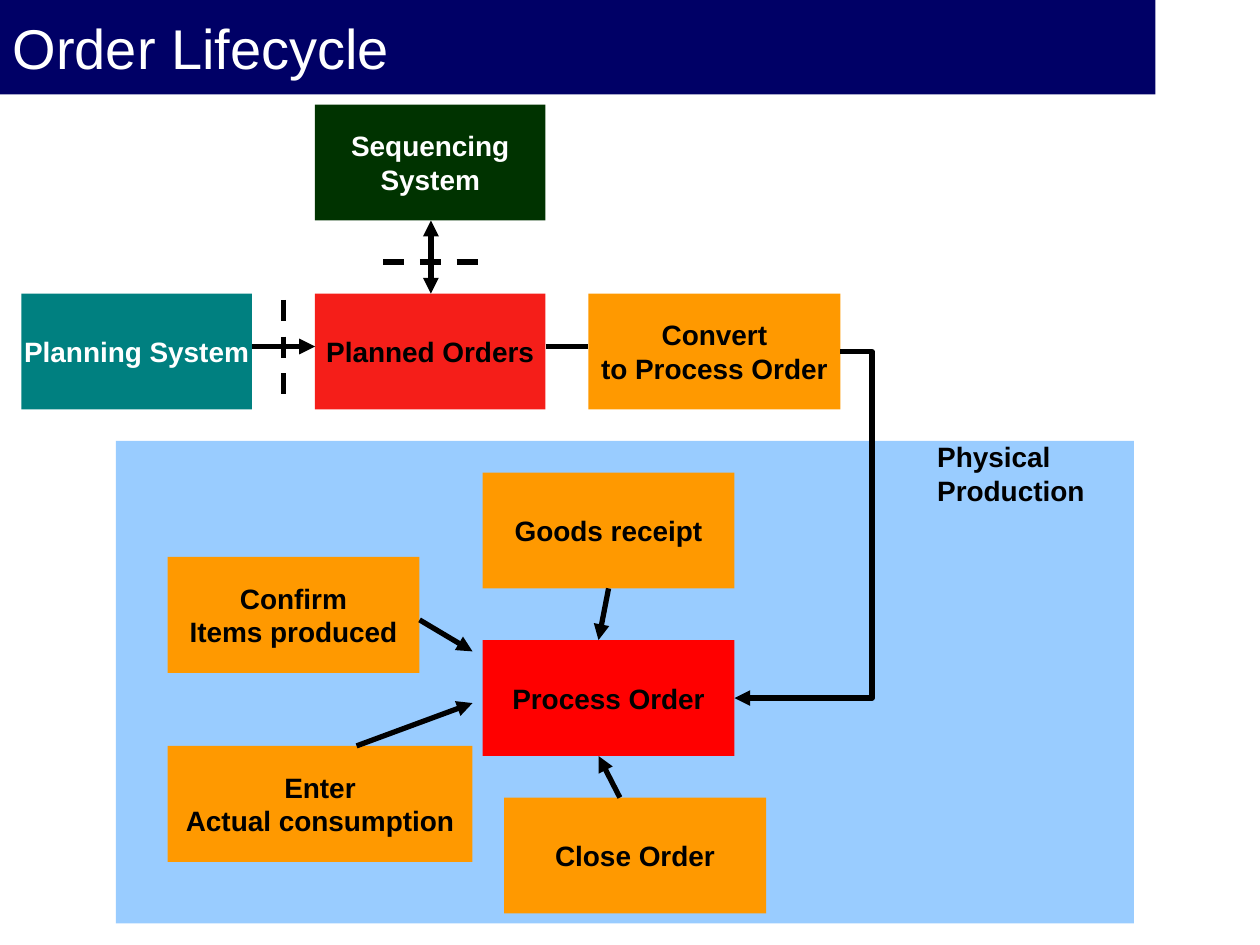
import pptx
import pptx.util
import pptx.dml.color
import pptx.enum.dml
import pptx.enum.shapes
import pptx.enum.text
import pptx.oxml.ns
from lxml import etree

Inches = pptx.util.Inches
RGBColor = pptx.dml.color.RGBColor
Connector = pptx.enum.shapes.MSO_CONNECTOR
Align = pptx.enum.text.PP_ALIGN
Anchor = pptx.enum.text.MSO_ANCHOR
qn = pptx.oxml.ns.qn

NAVY = RGBColor(0x00, 0x00, 0x66)
SKY = RGBColor(0x99, 0xCC, 0xFF)
TEAL = RGBColor(0x00, 0x80, 0x80)
FOREST = RGBColor(0x00, 0x33, 0x00)
SCARLET = RGBColor(0xF5, 0x1E, 0x19)
RED = RGBColor(0xFF, 0x00, 0x00)
ORANGE = RGBColor(0xFF, 0x99, 0x00)
BLACK = RGBColor(0x00, 0x00, 0x00)
WHITE = RGBColor(0xFF, 0xFF, 0xFF)

STEP_HEIGHT = 0.92


def format_text(frame, size, color, bold, align):
    """Give every paragraph in the frame the same look."""
    for paragraph in frame.paragraphs:
        paragraph.alignment = align
        for run in paragraph.runs:
            run.font.name = "Arial"
            run.font.size = pptx.util.Pt(size)
            run.font.bold = bold
            run.font.color.rgb = color


def add_block(slide, left, top, width, height, fill):
    """Add a plain filled rectangle."""
    block = slide.shapes.add_shape(
        pptx.enum.shapes.MSO_SHAPE.RECTANGLE,
        Inches(left), Inches(top), Inches(width), Inches(height))
    block.shadow.inherit = False
    block.fill.solid()
    block.fill.fore_color.rgb = fill
    block.line.fill.background()
    return block


def add_step(slide, left, top, width, label, fill, color=BLACK):
    """Add a labelled box of the order flow."""
    frame = add_block(slide, left, top, width, STEP_HEIGHT, fill).text_frame
    frame.word_wrap = False
    frame.vertical_anchor = Anchor.MIDDLE
    frame.text = label
    format_text(frame, 16, color, True, Align.CENTER)


def add_link(slide, start, end, ends=("tailEnd",), dashed=False, bend=None):
    """Add a line with optional arrowheads; bend is the elbow's position."""
    kind = Connector.STRAIGHT if bend is None else Connector.ELBOW
    link = slide.shapes.add_connector(
        kind, *(Inches(value) for value in (*start, *end)))
    link.line.width = pptx.util.Pt(3)
    link.line.color.rgb = BLACK
    if dashed:
        link.line.dash_style = pptx.enum.dml.MSO_LINE.DASH
    properties = link._element.spPr
    outline = properties.find(qn("a:ln"))
    for name in ends:
        etree.SubElement(outline, qn(f"a:{name}"), type="triangle")
    etree.SubElement(properties, qn("a:effectLst"))
    if bend is not None:
        guides = properties.find(qn("a:prstGeom")).get_or_add_avLst()
        etree.SubElement(guides, qn("a:gd"), name="adj1",
                         fmla=f"val {round(bend * 100000)}")


def add_title(slide, left, top, width, height):
    """Turn the title placeholder into the heading band."""
    title = slide.shapes.title
    title.left, title.top = Inches(left), Inches(top)
    title.width, title.height = Inches(width), Inches(height)
    title.fill.solid()
    title.fill.fore_color.rgb = NAVY
    frame = title.text_frame
    frame.text = "Order Lifecycle"
    frame.auto_size = pptx.enum.text.MSO_AUTO_SIZE.NONE
    frame.vertical_anchor = Anchor.MIDDLE
    format_text(frame, 32, WHITE, False, Align.LEFT)


def add_planning(slide, left, top):
    """Draw the planning systems and the row of planned orders."""
    row = top + 1.5
    orders = left + 2.33
    for x, y, width, label, fill, color in (
            (orders, row, 1.83, "Planned Orders", SCARLET, BLACK),
            (left, row, 1.83, "Planning System", TEAL, WHITE),
            (orders, top, 1.83, "Sequencing\nSystem", FOREST, WHITE),
            (left + 4.5, row, 2, "Convert\nto Process Order", ORANGE, BLACK)):
        add_step(slide, x, y, width, label, fill, color)

    center, flow = left + 3.25, row + 0.42
    add_link(slide, (center, row), (center, top + STEP_HEIGHT),
             ends=("headEnd", "tailEnd"))
    add_link(slide, (left + 1.83, flow), (orders, flow))
    add_link(slide, (left + 4.16, flow), (left + 4.5, flow), ends=())

    # Dashed borders between the systems
    add_link(slide, (left + 2.08, row + 0.05), (left + 2.08, row + 0.8),
             ends=(), dashed=True)
    add_link(slide, (center - 0.38, top + 1.25), (center + 0.37, top + 1.25),
             ends=(), dashed=True)


def add_production(slide, left, top, width, height):
    """Draw the production area, its steps and their arrows."""
    add_block(slide, left, top, width, height, SKY)
    for x, y, step_width, label, fill in (
            (2.91, 1.58, 2, "Process Order", RED),
            (2.91, 0.25, 2, "Goods receipt", ORANGE),
            (0.41, 0.92, 2, "Confirm\nItems produced", ORANGE),
            (0.41, 2.42, 2.42, "Enter\nActual consumption", ORANGE),
            (3.08, 2.83, 2.08, "Close Order", ORANGE)):
        add_step(slide, left + x, top + y, step_width, label, fill)

    for (x1, y1), (x2, y2) in (
            ((3.91, 1.17), (3.83, 1.58)),
            ((2.41, 1.42), (2.83, 1.67)),
            ((1.91, 2.42), (2.83, 2.08)),
            ((4.0, 2.83), (3.83, 2.5))):
        add_link(slide, (left + x1, top + y1), (left + x2, top + y2))

    caption = slide.shapes.add_textbox(
        Inches(left + 6.42), Inches(top - 0.06), Inches(1.37), Inches(0.64))
    caption.text_frame.word_wrap = False
    caption.text_frame.text = "Physical\nProduction"
    format_text(caption.text_frame, 16, BLACK, True, Align.LEFT)


def main():
    """Build and save the slide."""
    deck = pptx.Presentation()
    deck.slide_width, deck.slide_height = Inches(10), Inches(7.5)
    slide = deck.slides.add_slide(deck.slide_layouts.get_by_name("Title Only"))
    add_title(slide, 0, 0, 9.17, 0.75)
    add_production(slide, 0.92, 3.5, 8.08, 3.83)
    add_planning(slide, 0.17, 0.83)
    add_link(slide, (6.67, 2.79), (5.83, 5.54), bend=-0.3)
    deck.save("out.pptx")


main()
